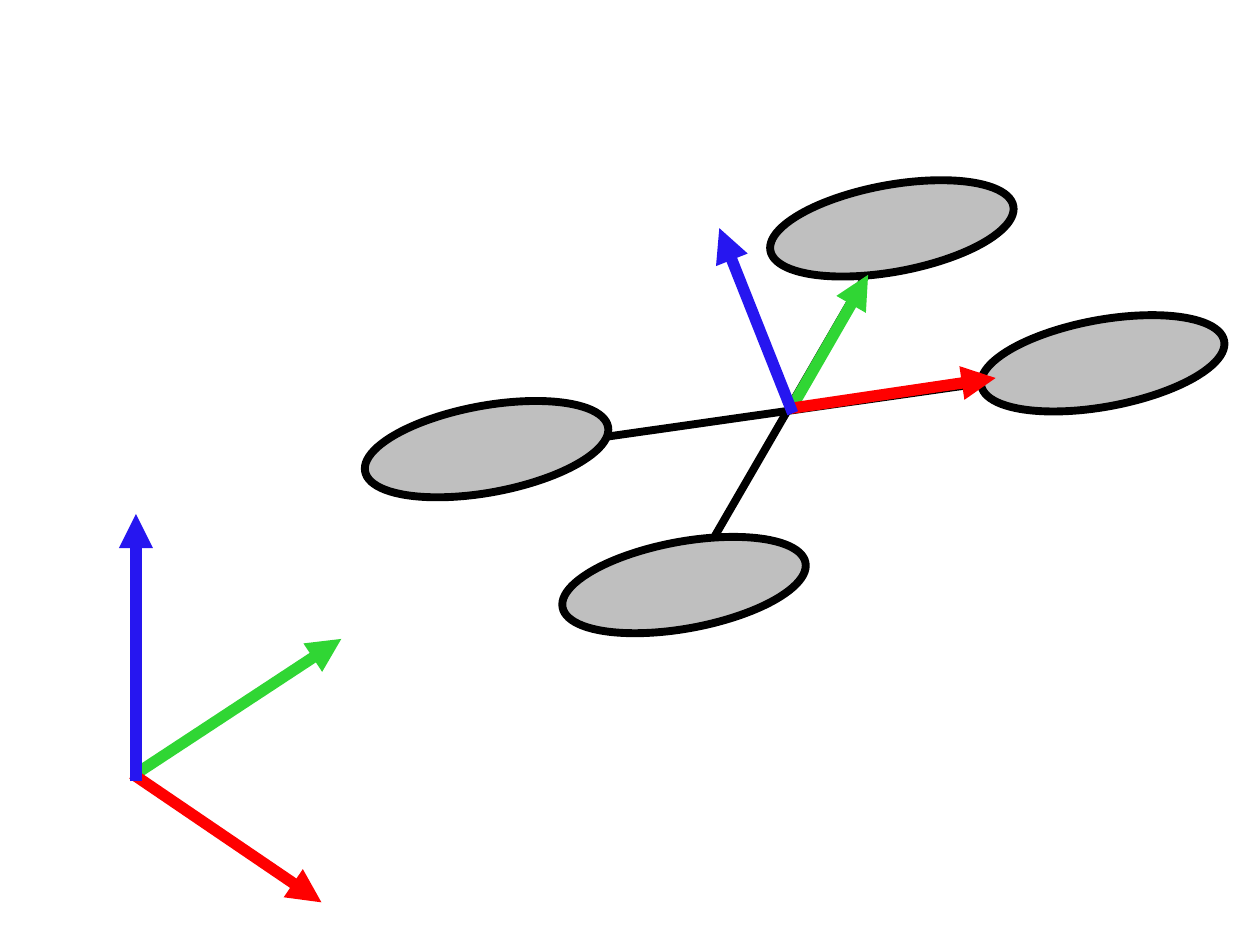
from pptx import Presentation
from pptx.dml.color import RGBColor
from pptx.enum.shapes import MSO_CONNECTOR as CONN, MSO_SHAPE as SHAPE
from pptx.oxml.ns import qn
from pptx.util import Cm, Pt
from lxml.etree import SubElement

COLORS = {
    "frame": "000000",
    "rotor": "BFBFBF",
    "x": "FF0000",
    "y": "30D634",
    "z": "2616F0",
}
ROTOR_SIZE = (4.98, 1.75)
ROTOR_TILT = 349.6

ARMS = [((7.34, 9.5), (23.9, 7.14)), ((13.84, 11.79), (18.29, 4.11))]
ROTORS = [(7.32, 8.18), (15.49, 3.73), (11.3, 10.92), (19.74, 6.45)]
BODY_AXES = [
    ("y", (15.98, 8.18), (17.5, 5.54)),
    ("x", (15.95, 8.23), (20.07, 7.62)),
    ("z", (15.98, 8.33), (14.5, 4.6)),
]
WORLD_AXES = [
    ("y", (2.74, 15.6), (6.88, 12.88)),
    ("x", (2.67, 15.6), (6.48, 18.19)),
    ("z", (2.74, 15.75), (2.74, 10.36)),
]


class Sketch:
    frame_width = Pt(4.5)
    axis_width = Pt(6.5)

    def __init__(self, slide):
        self.s = slide

    def set_line(self, line, color, width):
        line.color.rgb = RGBColor.from_string(COLORS[color])
        line.width = width

    def connect(self, start, end, color, width):
        c = self.s.shapes.add_connector(
            CONN.STRAIGHT, *(Cm(v) for v in (*start, *end)))
        self.set_line(c.line, color, width)
        SubElement(c._element.spPr, qn("a:effectLst"))
        return c

    def arm(self, start, end):
        self.connect(start, end, "frame", self.frame_width)

    def axis(self, name, start, end):
        c = self.connect(start, end, name, self.axis_width)
        SubElement(c.line._get_or_add_ln(), qn("a:tailEnd"), type="triangle")

    def rotor(self, left, top):
        sp = self.s.shapes.add_shape(
            SHAPE.OVAL, *(Cm(v) for v in (left, top, *ROTOR_SIZE)))
        sp.rotation = ROTOR_TILT
        sp.shadow.inherit = False
        sp.fill.solid()
        sp.fill.fore_color.rgb = RGBColor.from_string(COLORS["rotor"])
        self.set_line(sp.line, "frame", self.frame_width)


def main():
    prs = Presentation()
    prs.slide_width, prs.slide_height = Cm(25.4), Cm(19.05)
    sketch = Sketch(prs.slides.add_slide(prs.slide_layouts[6]))
    for start, end in ARMS:
        sketch.arm(start, end)
    for left, top in ROTORS:
        sketch.rotor(left, top)
    for name, start, end in BODY_AXES + WORLD_AXES:
        sketch.axis(name, start, end)
    prs.save("out.pptx")


if __name__ == "__main__":
    main()
